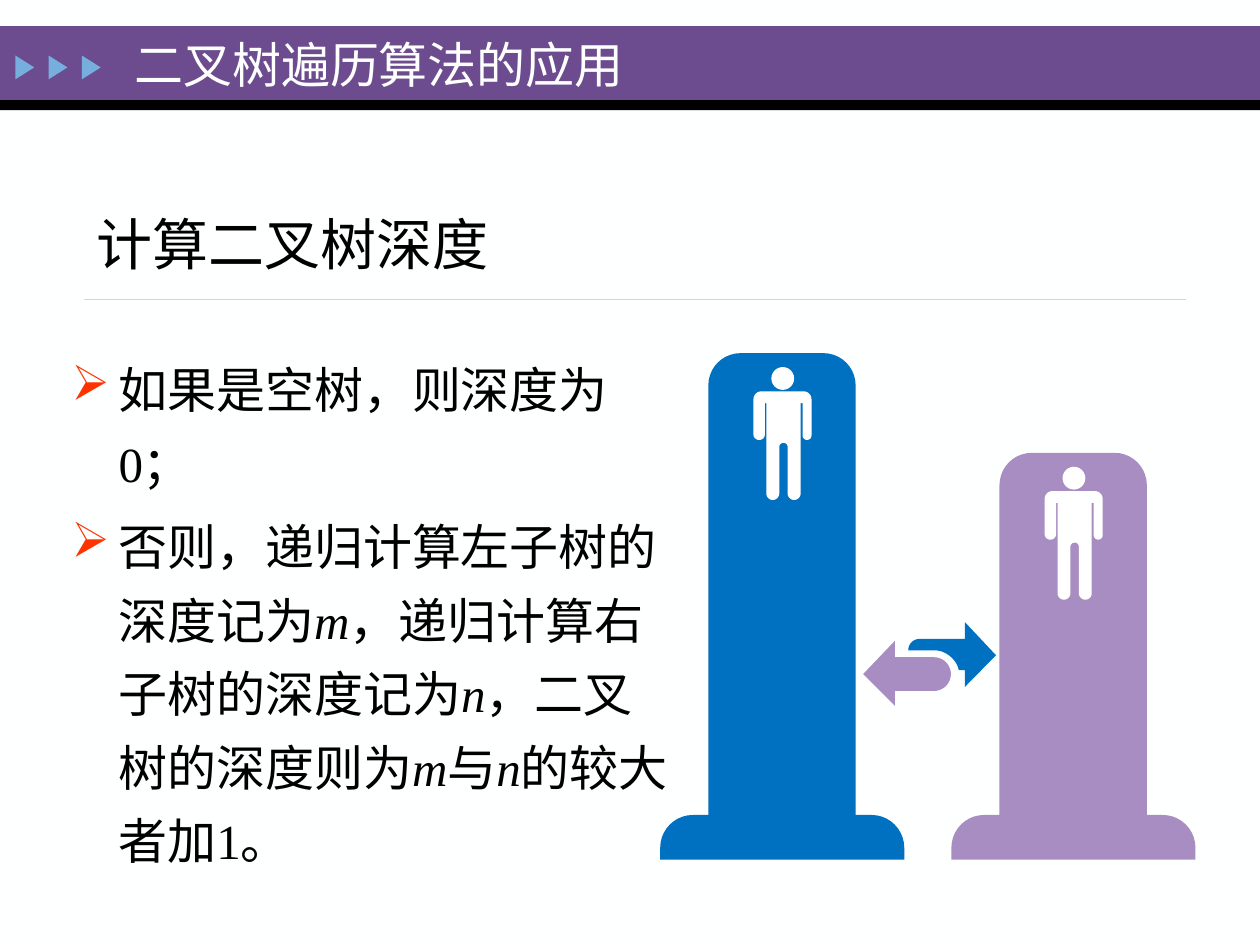
from lxml import etree
from pptx import Presentation
from pptx.dml.color import RGBColor
from pptx.enum.shapes import MSO_CONNECTOR, MSO_SHAPE
from pptx.enum.text import MSO_ANCHOR
from pptx.oxml.ns import qn
from pptx.util import Cm, Pt

RECT, OVAL = MSO_SHAPE.RECTANGLE, MSO_SHAPE.OVAL
TRIANGLE = MSO_SHAPE.ISOSCELES_TRIANGLE
STRAIGHT = MSO_CONNECTOR.STRAIGHT
TOP, MIDDLE = MSO_ANCHOR.TOP, MSO_ANCHOR.MIDDLE

WHITE = RGBColor(0xFF, 0xFF, 0xFF)
PAPER = RGBColor(0xFE, 0xFF, 0xFF)
BLACK = RGBColor(0, 0, 0)
PURPLE = RGBColor(0x6C, 0x4C, 0x8F)
SKY = RGBColor(0x76, 0xAE, 0xDD)
BLUE = RGBColor(0x00, 0x70, 0xC0)
LILAC = RGBColor(0xA7, 0x8D, 0xC2)
GREY = RGBColor(0xD5, 0xD5, 0xD5)
FONT = "Times New Roman"
BULLET, BULLET_COLOUR = "➢", "FF3300"

# Content: each paragraph is a list of (text, italic) runs
BANNER = [[("二叉树遍历算法的应用", False)]]
HEADING = [[("计算二叉树深度", False)]]
RULES = [
    [("如果是空树，则深度为0；", False)],
    [("否则，递归计算左子树的深度记为", False), ("m", True),
     ("，递归计算右子树的深度记为", False), ("n", True),
     ("，二叉树的深度则为", False), ("m", True), ("与", False),
     ("n", True), ("的较大者加1。", False)],
]

# Drawing, in cm: pedestals as (left, top, colour)
PEDESTALS = [(13.31, 7.12, BLUE), (19.18, 9.13, LILAC)]
SHOULDER, FLOOR = 16.43, 17.33

# Outlines as (x, y, corner radius)
PERSON = [
    (0, 0.49, 0.16), (0, 1.47, 0.11), (0.23, 1.47, 0.11), (0.23, 0.73, 0),
    (0.26, 0.73, 0), (0.26, 2.68, 0.13), (0.52, 2.68, 0.13),
    (0.52, 1.53, 0.08), (0.69, 1.53, 0.08), (0.69, 2.68, 0.13),
    (0.95, 2.68, 0.13), (0.95, 0.73, 0), (0.99, 0.73, 0),
    (0.99, 1.47, 0.09), (1.17, 1.47, 0.09), (1.17, 0.49, 0.16),
]
LEFT_ARROW = [
    (18.04, 12.92, 0), (17.4, 13.59, 0), (18.04, 14.23, 0), (18.04, 13.93, 0),
    (19.17, 13.93, 0.34), (19.17, 13.25, 0.34), (18.04, 13.25, 0),
]
RIGHT_ARROW = [
    (19.45, 12.54, 0), (20.08, 13.21, 0), (19.45, 13.85, 0), (19.45, 13.51, 0),
    (19.33, 13.51, 0), (19.24, 13.11, 0.4), (18.31, 13.11, 0),
    (18.31, 12.88, 0.23), (19.45, 12.88, 0),
]


def paint(shape, colour):
    shape.shadow.inherit = False
    shape.fill.solid()
    shape.fill.fore_color.rgb = colour
    shape.line.fill.background()


def add_preset(shapes, kind, left, top, width, height, colour):
    shape = shapes.add_shape(kind, Cm(left), Cm(top), Cm(width), Cm(height))
    paint(shape, colour)
    return shape


def round_corner(before, corner, after, steps=10):
    """Points of a quarter-round curve replacing one corner."""
    x, y, radius = corner
    if not radius:
        return [(x, y)]

    def toward(other):
        dx, dy = other[0] - x, other[1] - y
        share = min(1, radius / (dx * dx + dy * dy) ** 0.5)
        return dx * share, dy * share

    (ax, ay), (bx, by) = toward(before), toward(after)
    points = []
    for step in range(steps + 1):
        t = step / steps
        a = (1 - t) ** 3 + 1.35 * t * (1 - t) ** 2
        b = t ** 3 + 1.35 * t * t * (1 - t)
        points.append((x + a * ax + b * bx, y + a * ay + b * by))
    return points


def add_outline(shapes, corners, colour, left=0, top=0):
    points = []
    for i, corner in enumerate(corners):
        points += round_corner(corners[i - 1], corner,
                               corners[(i + 1) % len(corners)])
    points = [(Cm(left + x), Cm(top + y)) for x, y in points]
    builder = shapes.build_freeform(*points[0])
    builder.add_line_segments(points[1:], close=True)
    paint(builder.convert_to_shape(), colour)


def add_bullet(paragraph):
    properties = paragraph._p.get_or_add_pPr()
    properties.set("marL", str(Cm(0.95)))
    properties.set("indent", str(-Cm(0.95)))
    colour = etree.SubElement(properties, qn("a:buClr"))
    etree.SubElement(colour, qn("a:srgbClr"), val=BULLET_COLOUR)
    etree.SubElement(properties, qn("a:buChar"), char=BULLET)


def add_text(shapes, box, paragraphs, size, colour, anchor,
             spacing=None, bulleted=False):
    frame = shapes.add_textbox(*(Cm(v) for v in box)).text_frame
    frame.word_wrap = True
    frame.vertical_anchor = anchor
    for i, runs in enumerate(paragraphs):
        paragraph = frame.add_paragraph() if i else frame.paragraphs[0]
        if bulleted:
            add_bullet(paragraph)
        if spacing:
            paragraph.line_spacing = spacing
        if i:
            paragraph.space_before = Pt(size * 0.2)
        for text, italic in runs:
            run = paragraph.add_run()
            run.text = text
            run.font.name = FONT
            run.font.size = Pt(size)
            run.font.italic = italic
            run.font.color.rgb = colour


def add_pedestal(shapes, left, top, colour):
    near, far, width = 0.97, 3.94, 4.92
    add_outline(shapes, [
        (0, FLOOR, 0), (0, SHOULDER, 0.66), (near, SHOULDER, 0),
        (near, top, 0.65), (far, top, 0.65), (far, SHOULDER, 0),
        (width, SHOULDER, 0.66), (width, FLOOR, 0)], colour, left)
    # Person near the top of the column
    person_left, person_top = left + 1.88, top + 0.28
    add_preset(shapes, OVAL, person_left + 0.36, person_top, 0.46, 0.46, WHITE)
    add_outline(shapes, PERSON, WHITE, person_left, person_top)


def main():
    deck = Presentation()
    deck.slide_width, deck.slide_height = Cm(25.4), Cm(19.05)
    slide = deck.slides.add_slide(deck.slide_layouts[6])
    slide.background.fill.solid()
    slide.background.fill.fore_color.rgb = PAPER
    shapes = slide.shapes

    # Banner
    add_preset(shapes, RECT, 0, 0.53, 25.4, 1.5, PURPLE)
    add_preset(shapes, RECT, 0, 2.02, 25.4, 0.2, BLACK)
    for i in range(3):
        marker = add_preset(shapes, TRIANGLE, 0.26 + 0.67 * i, 1.17,
                            0.48, 0.38, SKY)
        marker.rotation = 90
    add_text(shapes, (2.46, 0.58, 18.47, 1.42), BANNER, 28, PAPER, MIDDLE)

    # Heading and rule line
    add_text(shapes, (1.7, 3.84, 13.59, 1.8), HEADING, 32, BLACK, MIDDLE, 1.25)
    divider = shapes.add_connector(STRAIGHT, Cm(1.7), Cm(6.04),
                                   Cm(23.9), Cm(6.04))
    divider.line.color.rgb = GREY
    divider.line.width = Pt(0.75)
    etree.SubElement(divider._element.spPr, qn("a:effectLst"))

    # Depth rules
    add_text(shapes, (1.19, 6.83, 12.67, 10.97), RULES, 28, BLACK, TOP,
             1.25, bulleted=True)

    # Two pedestals and the arrows between them
    for left, top, colour in PEDESTALS:
        add_pedestal(shapes, left, top, colour)
    add_outline(shapes, LEFT_ARROW, LILAC)
    add_outline(shapes, RIGHT_ARROW, BLUE)

    deck.save("out.pptx")


if __name__ == "__main__":
    main()
